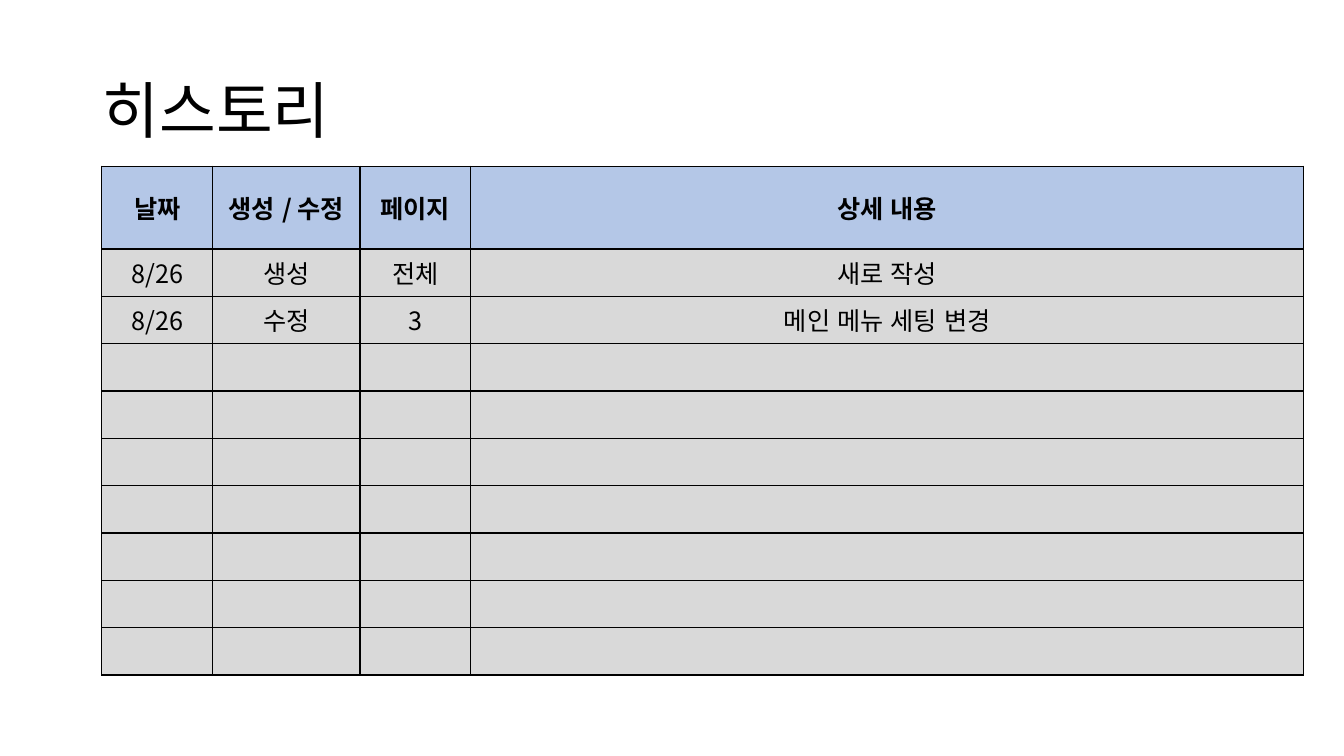
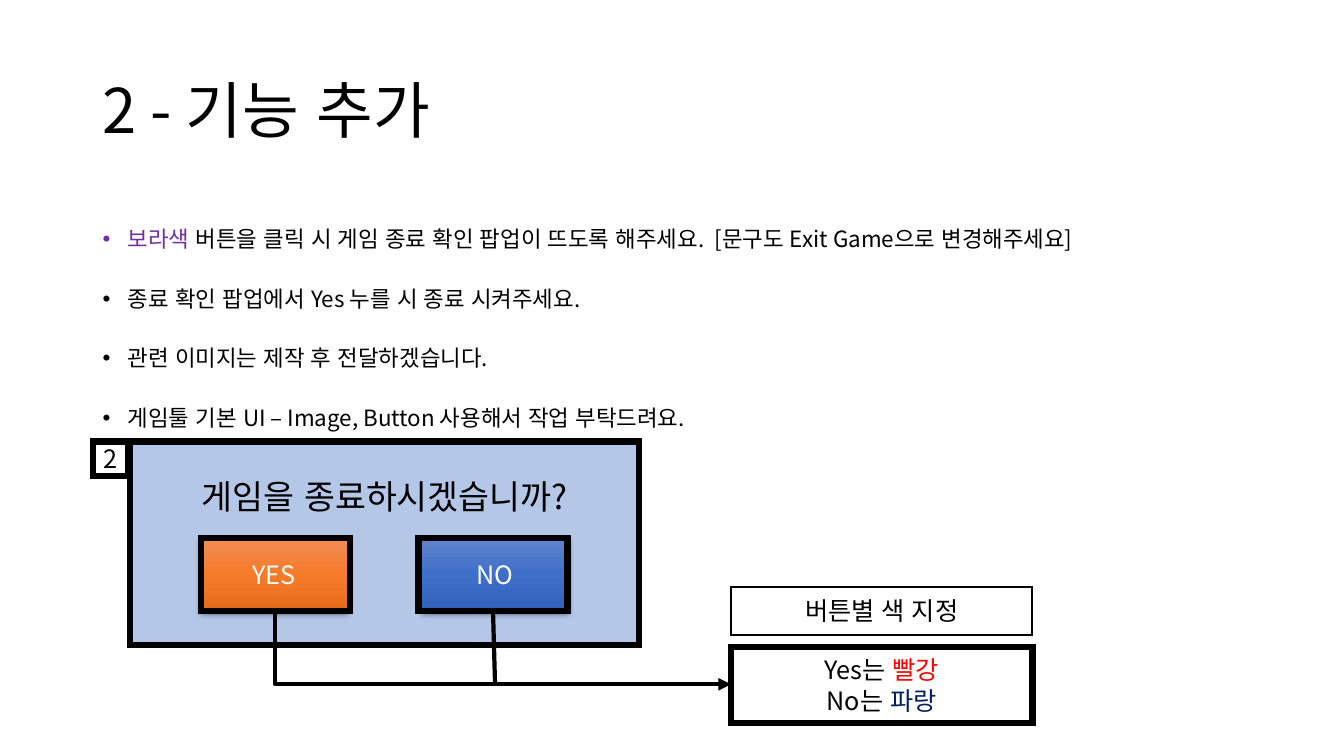
from pptx import Presentation
from pptx.dml.color import RGBColor
from pptx.enum.lang import MSO_LANGUAGE_ID
from pptx.enum.shapes import MSO_CONNECTOR, MSO_SHAPE
from pptx.enum.text import MSO_ANCHOR, PP_ALIGN
from pptx.oxml import parse_xml
from pptx.oxml.ns import nsdecls, qn
from pptx.util import Inches, Pt
from lxml.etree import SubElement

# Shared look
FONT = "Noto Sans CJK KR"
HUE = dict(ink="000000", white="FFFFFF", sky="B4C7E7", gray="D9D9D9",
           violet="7030A0", red="FF0000", navy="002060")
WIDE, HIGH = 13.33, 7.5
LEFT, SPAN = 0.92, 11.5
THICK = 4.5

# History slide
HEAD = ["날짜", "생성 / 수정", "페이지", "상세 내용"]
LOG = [["8/26", "생성", "전체", "새로 작성"],
       ["8/26", "수정", "3", "메인 메뉴 세팅 변경"]]
COLS = [1.1, 1.46, 1.1, 8.26]
ROWS = [0.82] + [0.47] * 9

# Feature slide: each paragraph is a list of (text, colour) runs
NOTES = [
    [("보라색", "violet"),
     (" 버튼을 클릭 시 게임 종료 확인 팝업이 뜨도록 해주세요.  "
      "[문구도 Exit Game으로 변경해주세요]", "ink")],
    [("종료 확인 팝업에서 Yes 누를 시 종료 시켜주세요.", "ink")],
    [("관련 이미지는 제작 후 전달하겠습니다.", "ink")],
    [("게임툴 기본 UI – Image, Button 사용해서 작업 부탁드려요.", "ink")],
]
ASK = [[("게임을 종료하시겠습니까?", "ink")]]
RULE = [[("버튼별 색 지정", "ink")]]
TINTS = [[("Yes는 ", "ink"), ("빨강", "red")],
         [("No는 ", "ink"), ("파랑", "navy")]]
# label, left, frame left, gradient
KEYS = [("YES", 1.99, 1.99, ["F18C57", "F67B28", "E56C19"]),
        ("NO", 4.18, 4.15, ["6183CB", "3E70CA", "3062BB"])]
KEY_TOP, KEY_H, KEY_W, RIM_W = 5.34, 0.72, 1.46, 1.48
KEY_END = KEY_TOP + KEY_H
TURN = 6.79
SIDE, SIDE_W = 7.25, 2.99


def rgb(name):
    return RGBColor.from_string(HUE[name])


def write(frame, paras, size, bold=False, align=PP_ALIGN.CENTER, gap=None, before=None):
    for i, runs in enumerate(paras):
        para = frame.paragraphs[0] if i == 0 else frame.add_paragraph()
        para.alignment = align
        if gap:
            para.line_spacing = gap
        if before:
            para.space_before = Pt(before)
        for text, hue in runs:
            run = para.add_run()
            run.text = text
            font = run.font
            font.size, font.bold, font.name = Pt(size), bold, FONT
            font.language_id = MSO_LANGUAGE_ID.KOREAN
            font.color.rgb = rgb(hue)
            SubElement(font._element, qn("a:ea"), typeface=FONT)


def text_box(slide, at, paras, size, anchor, **style):
    frame = slide.shapes.add_textbox(*map(Inches, at)).text_frame
    frame.word_wrap = True
    frame.vertical_anchor = anchor
    write(frame, paras, size, align=PP_ALIGN.LEFT, **style)
    return frame


def rect(slide, at, paras=(), size=18, fill=None, line=None):
    box = slide.shapes.add_shape(MSO_SHAPE.RECTANGLE, *map(Inches, at))
    if fill:
        box.fill.solid()
        box.fill.fore_color.rgb = rgb(fill)
    else:
        box.fill.background()
    if line:
        box.line.width = Pt(line)
        box.line.color.rgb = rgb("ink")
        SubElement(box.line._get_or_add_ln(), qn("a:miter"), lim="800000")
        box.shadow.inherit = False
    else:
        box.line.fill.background()
    box.text_frame.vertical_anchor = MSO_ANCHOR.MIDDLE
    write(box.text_frame, paras, size)
    return box


def glow(box, stops):
    """Give a button its gradient and soft shadow."""
    box.fill.gradient()
    box.fill.gradient_angle = 270
    grad = box.element.spPr.find(qn("a:gradFill"))
    marks = grad.find(qn("a:gsLst"))
    for old in list(marks):
        marks.remove(old)
    for i, tint in enumerate(stops):
        mark = SubElement(marks, qn("a:gs"), pos=str(i * 50000))
        SubElement(mark, qn("a:srgbClr"), val=tint)
    box.element.spPr.append(parse_xml(
        f'<a:effectLst {nsdecls("a")}><a:outerShdw blurRad="{Pt(4.5)}" '
        f'dist="{Pt(1.5)}" dir="5400000" algn="ctr" rotWithShape="0">'
        f'<a:srgbClr val="{HUE["ink"]}"><a:alpha val="63000"/></a:srgbClr>'
        '</a:outerShdw></a:effectLst>'))


def wire(slide, kind, *ends):
    link = slide.shapes.add_connector(kind, *map(Inches, ends))
    link.line.width = Pt(3)
    link.line.color.rgb = rgb("ink")
    SubElement(link.element.spPr, qn("a:effectLst"))
    return link


def fill_cell(cell, text, head):
    props = cell._tc.get_or_add_tcPr()
    for side in ("lnL", "lnR", "lnT", "lnB"):
        edge = SubElement(props, qn("a:" + side), w=str(Pt(1)))
        paint = SubElement(edge, qn("a:solidFill"))
        SubElement(paint, qn("a:srgbClr"), val=HUE["ink"])
    cell.fill.solid()
    cell.fill.fore_color.rgb = rgb("sky" if head else "gray")
    cell.vertical_anchor = MSO_ANCHOR.MIDDLE
    if text:
        write(cell.text_frame, [[(text, "ink")]], 18, bold=head)


def start(deck, title):
    slide = deck.slides.add_slide(deck.slide_layouts[6])
    text_box(slide, (LEFT, 0.4, SPAN, 1.45), [[(title, "ink")]], 44,
             MSO_ANCHOR.MIDDLE, gap=0.9)
    return slide


def history(deck):
    slide = start(deck, "히스토리")
    at = (1.01, 1.65, sum(COLS), sum(ROWS))
    table = slide.shapes.add_table(len(ROWS), len(COLS), *map(Inches, at)).table
    table.horz_banding = table.first_row = False
    for col, width in zip(table.columns, COLS):
        col.width = Inches(width)
    data = [HEAD] + LOG
    data += [[""] * len(COLS)] * (len(ROWS) - len(data))
    for r, texts in enumerate(data):
        table.rows[r].height = Inches(ROWS[r])
        for c, text in enumerate(texts):
            fill_cell(table.cell(r, c), text, r == 0)


def feature(deck):
    slide = start(deck, "2 - 기능 추가")

    # Request list
    frame = text_box(slide, (LEFT, 2, SPAN, 1.54), NOTES, 16, MSO_ANCHOR.TOP,
                     gap=1.7, before=10)
    for para in frame.paragraphs:
        props = para._p.get_or_add_pPr()
        props.set("marL", str(Inches(0.25)))
        props.set("indent", str(-Inches(0.25)))
        SubElement(props, qn("a:buFont"), typeface="Arial")
        SubElement(props, qn("a:buChar"), char="•")

    # Popup with its buttons
    popup = rect(slide, (1.29, 4.38, 5.05, 2.02), ASK, 24, "sky", THICK)
    popup.text_frame.vertical_anchor = MSO_ANCHOR.TOP
    popup.text_frame.margin_top = Inches(0.34)
    for label, left, rim, stops in KEYS:
        key = rect(slide, (left, KEY_TOP, KEY_W, KEY_H), [[(label, "white")]])
        glow(key, stops)
        rect(slide, (rim, KEY_TOP, RIM_W, KEY_H), line=THICK)
    badge = rect(slide, (LEFT, 4.38, 0.35, 0.34), [[("2", "ink")]], line=THICK)
    badge.text_frame.margin_left = badge.text_frame.margin_right = 0

    # Lines from the buttons to the colour note
    bend = wire(slide, MSO_CONNECTOR.ELBOW, SIDE, TURN, 2.73, KEY_END)
    bend.element.spPr.find(qn("a:prstGeom")).set("prst", "bentConnector2")
    SubElement(bend.line._get_or_add_ln(), qn("a:headEnd"), type="triangle")
    wire(slide, MSO_CONNECTOR.STRAIGHT, 4.89, KEY_END, 4.91, TURN)

    # Colour note
    rect(slide, (SIDE, 6.42, SIDE_W, 0.75), TINTS, line=THICK)
    rect(slide, (SIDE, 5.82, SIDE_W, 0.48), RULE, line=1.5)


def main():
    deck = Presentation()
    deck.slide_width, deck.slide_height = Inches(WIDE), Inches(HIGH)
    history(deck)
    feature(deck)
    deck.save("out.pptx")


if __name__ == "__main__":
    main()
